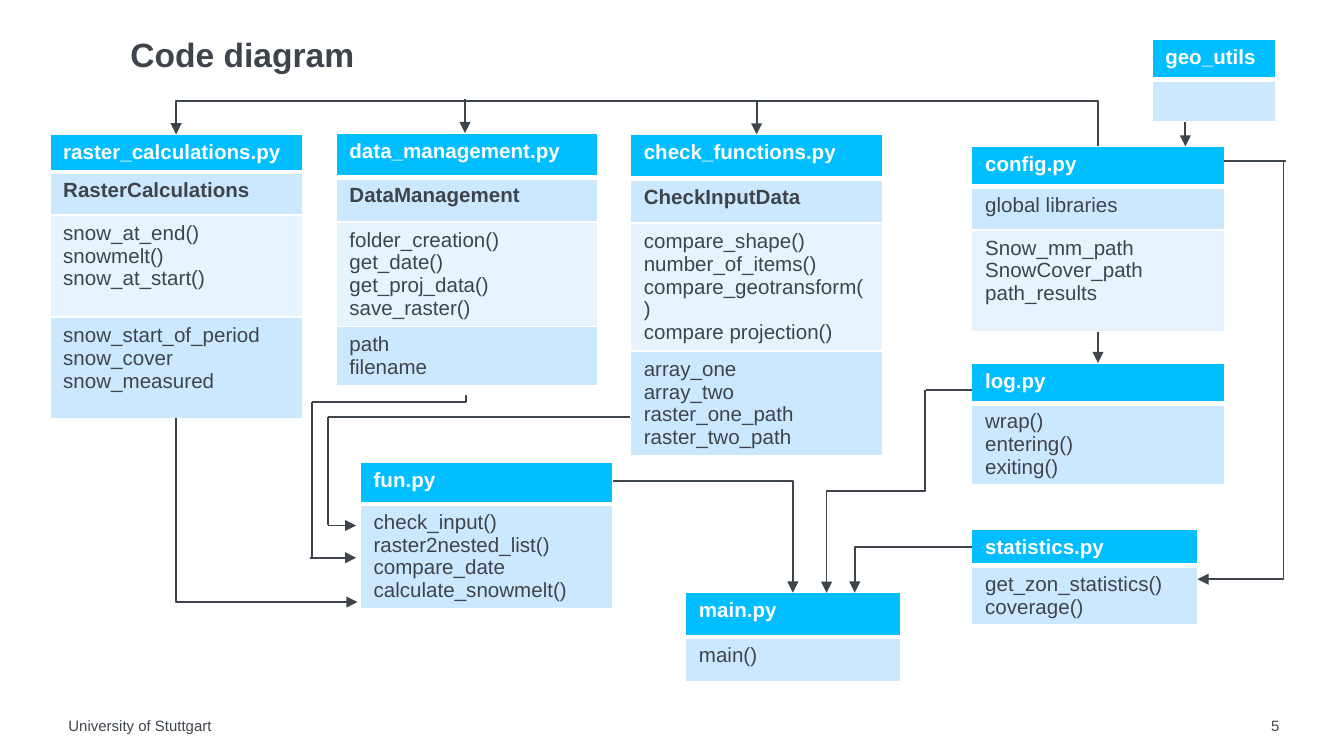
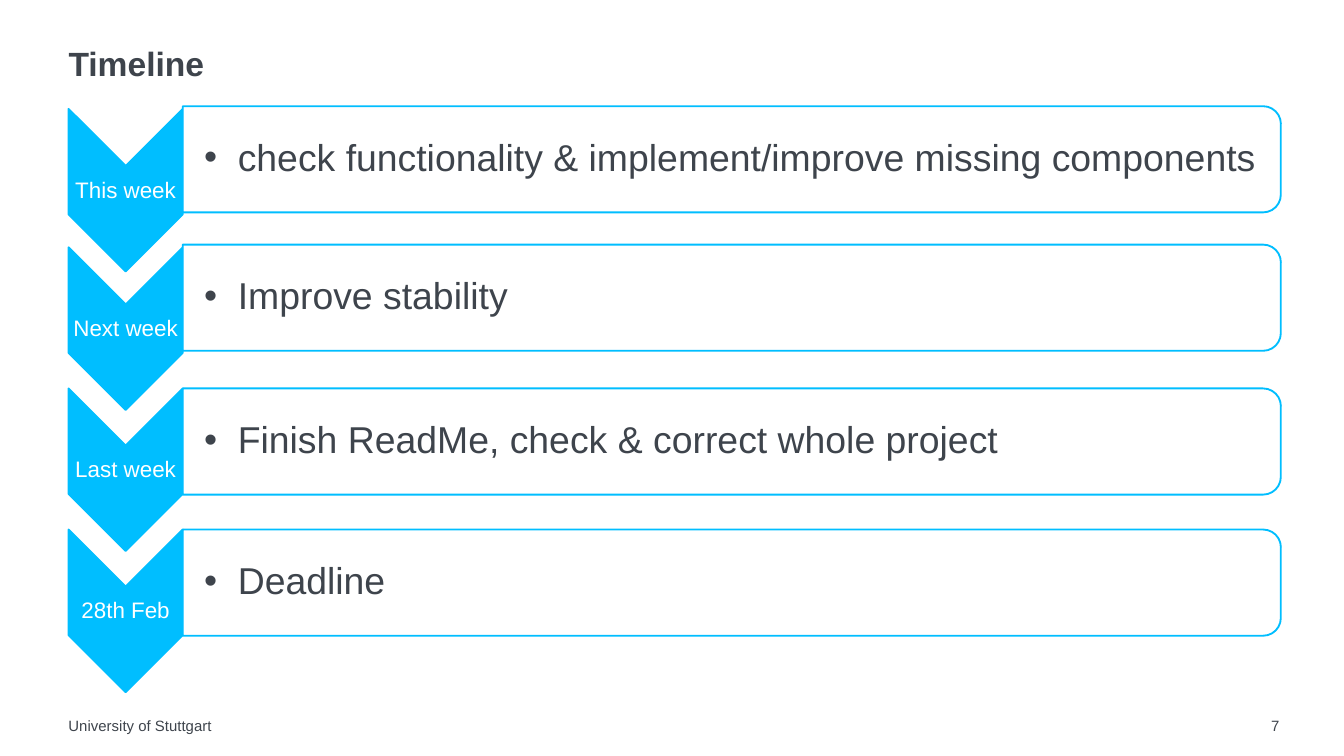
from lxml.etree import SubElement as Sub
from pptx import Presentation
from pptx.dml.color import RGBColor as Rgb
from pptx.enum.shapes import MSO_CONNECTOR as Link, MSO_SHAPE as Kind
from pptx.enum.text import MSO_ANCHOR as Anchor, MSO_AUTO_SIZE as Fit, PP_ALIGN as Align
from pptx.oxml.ns import qn
from pptx.util import Inches, Pt

HUES = {
    "ink": "3E444C",
    "cyan": "00BEFF",
    "pale": "CCE8FF",
    "mist": "E7F4FF",
    "white": "FFFFFF",
}
FONT = "Arial"
TITLE_ONLY = 5
WIDE = Inches(10)


def rgb(name):
    return Rgb.from_string(HUES[name])


def put(item, **vals):
    for key, val in vals.items():
        setattr(item, key, val)


class Deck:
    """Holds the shared style and the current slide."""

    def __init__(self):
        self.prs = Presentation()
        put(self.prs, slide_width=WIDE, slide_height=WIDE * 9 // 16)
        self.slide = None

    def page(self, title, box, number, **form):
        """Start a slide with its title and footer."""
        layout = self.prs.slide_layouts[TITLE_ONLY]
        self.slide = self.prs.slides.add_slide(layout)
        shape = self.slide.shapes.title
        names = ("left", "top", "width", "height")
        put(shape, **dict(zip(names, map(Inches, box))))
        self.fill_text(shape.text_frame, title, 18, bold=True, **form)
        self.text("University of Stuttgart", (0.51, 5.33, 6.63, 0.13), 8)
        self.text(number, (9.28, 5.33, 0.24, 0.13), 8, align=Align.RIGHT)

    def style(self, run, size, hue, bold=False):
        put(run.font, name=FONT, size=Pt(size), bold=bold)
        run.font.color.rgb = rgb(hue)

    def fill_text(self, frame, words, size, hue="ink", bold=False,
                  pads=(0, 0, 0, 0), anchor=Anchor.TOP, align=Align.LEFT, **form):
        left, top, right, bottom = map(Inches, pads)
        put(frame, margin_left=left, margin_top=top, margin_right=right,
            margin_bottom=bottom, word_wrap=True, auto_size=Fit.NONE,
            vertical_anchor=anchor)
        para = frame.paragraphs[0]
        put(para, alignment=align, **form)
        run = para.add_run()
        run.text = words
        self.style(run, size, hue, bold)
        return para

    def text(self, words, box, size, **form):
        shape = self.slide.shapes.add_textbox(*map(Inches, box))
        return self.fill_text(shape.text_frame, words, size, **form)

    def bullet(self, words, box, size, **form):
        para = self.text(words, box, size, **form)
        props = para._p.get_or_add_pPr()
        for key, val in (("marL", 0.25), ("indent", -0.25)):
            props.set(key, str(Inches(val)))
        Sub(props, qn("a:buFont"), typeface=FONT)
        Sub(props, qn("a:buChar"), char="•")
        Sub(para._p, qn("a:endParaRPr"), sz=str(size * 100))

    def turned(self, kind, box, fill, alpha=None):
        """Draw a shape turned a quarter; box is its frame before the turn."""
        shape = self.slide.shapes.add_shape(kind, *map(Inches, box))
        shape.rotation = 90
        shape.shadow.inherit = False
        shape.fill.solid()
        shape.fill.fore_color.rgb = rgb(fill)
        if alpha:
            tint = shape._element.spPr.find(qn("a:solidFill"))[0]
            Sub(tint, qn("a:alpha"), val=str(alpha * 1000))
        shape.line.color.rgb = rgb("cyan")
        shape.line.width = Pt(1)

    def edges(self, cell, bottom):
        props = cell._tc.get_or_add_tcPr()
        for at, side in enumerate("LRTB"):
            width = Pt(bottom if side == "B" else 1)
            line = props.makeelement(qn(f"a:ln{side}"), {"w": str(width)})
            fill = Sub(line, qn("a:solidFill"))
            Sub(fill, qn("a:srgbClr"), val=HUES["white"])
            props.insert(at, line)

    def module(self, spot, width, rows):
        """Add a module table; each row is (height, hue, lines, bold)."""
        high = sum(row[0] for row in rows)
        frame = self.slide.shapes.add_table(
            len(rows), 1, *map(Inches, (*spot, width, high)))
        table = frame.table
        put(table, first_row=False, horz_banding=False)
        for at, (tall, hue, lines, bold) in enumerate(rows):
            table.rows[at].height = Inches(tall)
            cell = table.cell(at, 0)
            cell.fill.solid()
            cell.fill.fore_color.rgb = rgb(hue)
            self.edges(cell, 1 if at else 3)
            body = cell.text_frame
            if not lines:
                Sub(body.paragraphs[0]._p, qn("a:endParaRPr"), sz="1100")
            for num, words in enumerate(lines):
                para = body.add_paragraph() if num else body.paragraphs[0]
                run = para.add_run()
                run.text = words
                self.style(run, 11, "ink" if at else "white", bold)
        return frame

    def line(self, start, end, head=True, joins=(None, None)):
        """Draw a line; joins holds (shape, side) for each glued end."""
        link = self.slide.shapes.add_connector(
            Link.STRAIGHT, *map(Inches, (*start, *end)))
        for join, glue in zip(joins, (link.begin_connect, link.end_connect)):
            if join:
                glue(*join)
        link.line.color.rgb = rgb("ink")
        link.line.width = Pt(1)
        props = link._element.spPr
        if head:
            Sub(props.find(qn("a:ln")), qn("a:tailEnd"), type="triangle")
        Sub(props, qn("a:effectLst"))
        return link

    def bend(self, start, end, turn=0, flip=None, adj=None, head=True):
        """Draw an elbow: one corner, or two when adj is given."""
        link = self.line(start, end, head)
        wide, high = (abs(b - a) for a, b in zip(start, end))
        x, y = ((a + b) / 2 for a, b in zip(start, end))
        if turn in (90, 270):
            wide, high = high, wide
        put(link, left=Inches(x - wide / 2), top=Inches(y - high / 2),
            width=Inches(wide), height=Inches(high), rotation=turn)
        props = link._element.spPr
        frame = props.find(qn("a:xfrm"))
        for key in ("flipH", "flipV"):
            frame.attrib.pop(key, None)
        if flip:
            frame.set(flip, "1")
        geom = props.find(qn("a:prstGeom"))
        geom.set("prst", "bentConnector2" if adj is None else "bentConnector3")
        if adj is not None:
            guides = geom.find(qn("a:avLst"))
            if guides is None:
                guides = Sub(geom, qn("a:avLst"))
            Sub(guides, qn("a:gd"), name="adj1", fmla=f"val {round(adj * 100000)}")


# name: (left, top), width, header height, then (height, lines) of each body row
MODULES = {
    "raster_calculations.py": ((0.37, 1), 1.88, 0.28, [
        (0.32, ["RasterCalculations"]),
        (0.76, ["snow_at_end()", "snowmelt()", "snow_at_start()"]),
        (0.76, ["snow_start_of_period", "snow_cover", "snow_measured"])]),
    "main.py": ((5.1, 4.41), 1.6, 0.33, [(0.33, ["main()"])]),
    "check_functions.py": ((4.69, 1), 1.88, 0.33, [
        (0.33, ["CheckInputData"]),
        (0.33, ["compare_shape()", "number_of_items()",
                "compare_geotransform()", "compare projection()"]),
        (0.33, ["array_one", "array_two", "raster_one_path", "raster_two_path"])]),
    "data_management.py": ((2.5, 0.99), 1.95, 0.33, [
        (0.33, ["DataManagement"]),
        (0.33, ["folder_creation()", "get_date()", "get_proj_data()",
                "save_raster()"]),
        (0.33, ["path", "filename"])]),
    "config.py": ((7.23, 1.09), 1.88, 0.3, [
        (0.32, ["global libraries"]),
        (0.76, ["Snow_mm_path", "SnowCover_path", "path_results"])]),
    "fun.py": ((2.68, 3.44), 1.88, 0.31, [
        (0.32, ["check_input()", "raster2nested_list()", "compare_date",
                "calculate_snowmelt()"])]),
    "geo_utils": ((8.57, 0.29), 0.92, 0.3, [(0.32, [])]),
    "log.py": ((7.23, 2.7), 1.88, 0.3, [
        (0.32, ["wrap()", "entering()", "exiting()"])]),
    "statistics.py": ((7.23, 3.94), 1.68, 0.23, [
        (0.32, ["get_zon_statistics()", "coverage()"])]),
}

# chevron top, task top, label, task
STEPS = [
    (0.99, 0.83, "This week",
     "check functionality & implement/improve missing components"),
    (2.02, 1.86, "Next week", "Improve stability"),
    (3.07, 2.93, "Last week", "Finish ReadMe, check & correct whole project"),
    (4.12, 3.98, "28th Feb", "Deadline"),
]


def code(deck):
    deck.page("Code diagram", (0.97, 0.19, 6.44, 0.33), "5",
              line_spacing=1.2, space_before=Pt(7.5))
    tables = {}
    for name, (spot, width, tall, body) in MODULES.items():
        rows = [(tall, "cyan", [name], True)]
        for at, (high, lines) in enumerate(body):
            # a table with four rows opens with its class name
            bold = at == 0 and len(body) == 3
            rows.append((high, "mist" if at % 2 else "pale", lines, bold))
        tables[name] = deck.module(spot, width, rows)

    # config to check, data and raster
    deck.bend((8.17, 1.09), (1.31, 1), 270, "flipV", 3.75)
    deck.line((5.63, 0.75), (5.63, 1),
              joins=(None, (tables["check_functions.py"], 0)))
    deck.line((3.46, 0.74), (3.46, 0.99))

    # geo_utils to config to log
    deck.line((8.82, 0.91), (8.82, 1.09))
    deck.line((8.17, 2.47), (8.17, 2.7),
              joins=((tables["config.py"], 2), (tables["log.py"], 0)))

    # config to statistics
    deck.bend((9.55, 1.2), (8.91, 4.31), 90)
    deck.line((9.57, 1.2), (9.11, 1.2), head=False)

    # raster, data and check to fun
    deck.bend((1.31, 3.11), (2.66, 4.48), 270, "flipH", 1)
    deck.bend((3.47, 2.94), (2.32, 2.99), 90, head=False)
    deck.line((2.32, 2.99), (2.32, 4.15), head=False)
    deck.line((2.31, 4.15), (2.65, 4.15))
    deck.line((2.44, 3.1), (4.69, 3.1), head=False)
    deck.line((2.44, 3.1), (2.44, 3.91), head=False)
    deck.line((2.44, 3.91), (2.65, 3.91))

    # fun, statistics and log to main
    deck.bend((4.56, 3.58), (5.9, 4.41))
    deck.bend((7.23, 4.07), (6.36, 4.41), 180, "flipV", 1)
    deck.bend((6.88, 2.9), (6.15, 4.41), 90, adj=0.5)
    deck.line((6.89, 2.9), (7.23, 2.9), head=False)


def timeline(deck):
    deck.page("Timeline", (0.51, 0.35, 9.02, 0.28), "7", line_spacing=0.9)
    form = {"anchor": Anchor.MIDDLE, "line_spacing": 0.9}
    for top, high, label, task in STEPS:
        deck.turned(Kind.CHEVRON, (0.33, top, 1.21, 0.85), "cyan")
        deck.text(label, (0.51, top + 0.25, 0.85, 0.36), 12, hue="white",
                  pads=(0.01,) * 4, align=Align.CENTER, **form)
        deck.turned(Kind.ROUND_2_SAME_RECTANGLE, (5.05, high - 3.73, 0.79, 8.17),
                    "white", alpha=90)
        deck.bullet(task, (1.36, high, 8.13, 0.71), 20,
                    pads=(0.16, 0.01, 0.01, 0.01), **form)


def main():
    deck = Deck()
    code(deck)
    timeline(deck)
    deck.prs.save("out.pptx")


if __name__ == "__main__":
    main()
